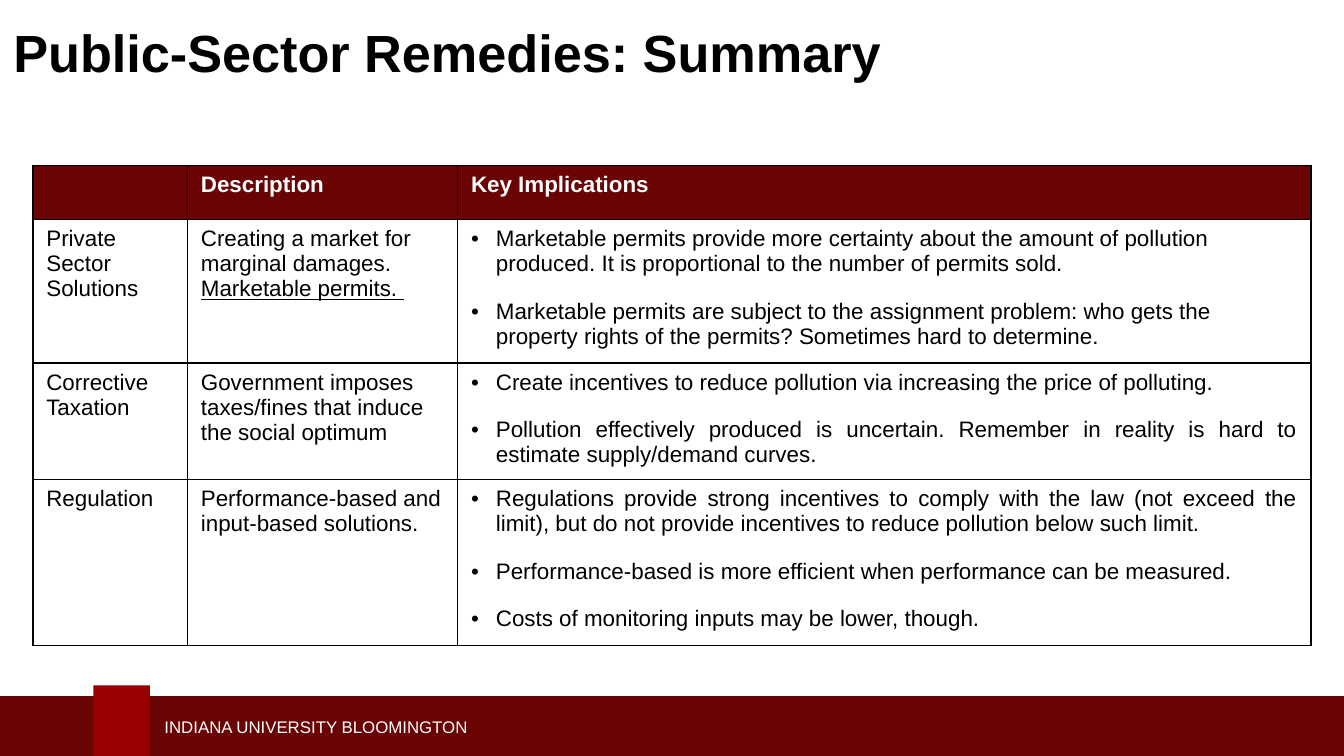
from dataclasses import dataclass
from typing import Optional

from lxml.etree import SubElement
from pptx import Presentation
from pptx.dml.color import RGBColor
from pptx.enum.shapes import MSO_SHAPE as Shape
from pptx.enum.text import MSO_ANCHOR as Anchor, PP_ALIGN as Align
from pptx.oxml.ns import qn
from pptx.util import Emu, Pt

PX = 4572  # 200 px to the inch
CRIMSON, RED, BLACK, WHITE = "690304", "990000", "000000", "FFFFFF"
INDENT = 37


@dataclass(frozen=True)
class Box:
    left: int
    top: int
    width: int
    height: int

    def emu(self) -> list[Emu]:
        return [px(n) for n in (self.left, self.top, self.width, self.height)]


@dataclass(frozen=True)
class Remedy:
    name: str
    description: str
    implications: list[str]
    height: int
    underlined: str = ""
    align: Optional[Align] = None


REMEDIES = [
    Remedy("Private Sector Solutions", "Creating a market for marginal damages. ", [
        "Marketable permits provide more certainty about the amount of pollution produced. "
        "It is proportional to the number of permits sold.",
        "Marketable permits are subject to the assignment problem: who gets the property "
        "rights of the permits? Sometimes hard to determine.",
    ], 202, underlined="Marketable permits. "),
    Remedy("Corrective Taxation", "Government imposes taxes/fines that induce the social optimum", [
        "Create incentives to reduce pollution via increasing the price of polluting.",
        "Pollution effectively produced is uncertain. Remember in reality is hard to "
        "estimate supply/demand curves.",
    ], 165, align=Align.JUSTIFY),
    Remedy("Regulation", "Performance-based and input-based solutions.", [
        "Regulations provide strong incentives to comply with the law (not exceed the "
        "limit), but do not provide incentives to reduce pollution below such limit.",
        "Performance-based is more efficient when performance can be measured.",
        "Costs of monitoring inputs may be lower, though.",
    ], 236, align=Align.JUSTIFY),
]
HEADINGS = ["", "Description", "Key Implications"]
HEADER_HEIGHT = 81
COLUMN_WIDTHS = [230, 402, 1270]


def px(length: int) -> Emu:
    return Emu(length * PX)


def color(value: str) -> RGBColor:
    return RGBColor.from_string(value)


def style(frame, size: int, ink: str, bold: bool = False) -> None:
    for para in frame.paragraphs:
        for span in para.runs:
            font = span.font
            font.name, font.size, font.bold = "Arial", Pt(size), bold
            font.color.rgb = color(ink)


def add_bar(slide, box: Box, fill: str) -> None:
    bar = slide.shapes.add_shape(Shape.RECTANGLE, *box.emu())
    bar.shadow.inherit = False
    bar.fill.solid()
    bar.fill.fore_color.rgb = color(fill)
    bar.line.fill.background()


def add_borders(cell) -> None:
    properties = cell._tc.get_or_add_tcPr()
    for side in ("a:lnL", "a:lnR", "a:lnT", "a:lnB"):
        line = SubElement(properties, qn(side), w=str(Pt(1)))
        fill = SubElement(line, qn("a:solidFill"))
        SubElement(fill, qn("a:srgbClr"), val=BLACK)


def format_bullets(frame, align: Optional[Align]) -> None:
    for index, para in enumerate(frame.paragraphs):
        properties = para._p.get_or_add_pPr()
        properties.set("marL", str(px(INDENT)))
        properties.set("indent", str(px(-INDENT)))
        if index:
            para.space_before = Pt(12)
        if align is not None:
            para.alignment = align
        SubElement(properties, qn("a:buFont"), typeface="Arial")
        SubElement(properties, qn("a:buChar"), char="•")


def add_remedies(slide, left: int, top: int) -> None:
    heights = [HEADER_HEIGHT] + [remedy.height for remedy in REMEDIES]
    box = Box(left, top, sum(COLUMN_WIDTHS), sum(heights))
    table = slide.shapes.add_table(len(heights), len(COLUMN_WIDTHS), *box.emu()).table
    table.horz_banding = False
    for column, width in zip(table.columns, COLUMN_WIDTHS):
        column.width = px(width)
    for row, height in zip(table.rows, heights):
        row.height = px(height)

    # Wording
    for column, heading in enumerate(HEADINGS):
        table.cell(0, column).text_frame.text = heading
    for row, remedy in enumerate(REMEDIES, start=1):
        name, description, implications = (table.cell(row, n).text_frame for n in range(3))
        name.text = remedy.name
        description.text = remedy.description
        if remedy.underlined:
            span = description.paragraphs[0].add_run()
            span.text = remedy.underlined
            span.font.underline = True
        implications.text = "\n".join(remedy.implications)
        format_bullets(implications, remedy.align)

    # Borders, fills and fonts
    for row in range(len(heights)):
        header = row == 0
        for column in range(len(COLUMN_WIDTHS)):
            cell = table.cell(row, column)
            add_borders(cell)
            if header:
                cell.fill.solid()
                cell.fill.fore_color.rgb = color(CRIMSON)
            else:
                cell.fill.background()
            style(cell.text_frame, 12, WHITE if header else BLACK, bold=header)


def add_footer(slide) -> None:
    add_bar(slide, Box(-6, 1036, 2018, 100), CRIMSON)
    add_bar(slide, Box(139, 1020, 84, 116), RED)
    frame = slide.shapes.add_textbox(*Box(225, 1056, 790, 50).emu()).text_frame
    frame.word_wrap = True
    frame.vertical_anchor = Anchor.MIDDLE
    frame.text = "INDIANA UNIVERSITY BLOOMINGTON"
    style(frame, 9, WHITE)


def add_title(slide, text: str) -> None:
    title = slide.shapes.title
    title.left, title.top, title.width, title.height = Box(0, 0, 2000, 153).emu()
    frame = title.text_frame
    frame.text = text
    frame.vertical_anchor = Anchor.MIDDLE
    frame.paragraphs[0].alignment = Align.LEFT
    style(frame, 28, BLACK, bold=True)


def main() -> None:
    deck = Presentation()
    deck.slide_width, deck.slide_height = px(2000), px(1125)
    slide = deck.slides.add_slide(deck.slide_layouts[5])
    add_footer(slide)
    add_title(slide, "Public-Sector Remedies: Summary")
    add_remedies(slide, left=49, top=246)
    deck.save("out.pptx")


if __name__ == "__main__":
    main()
